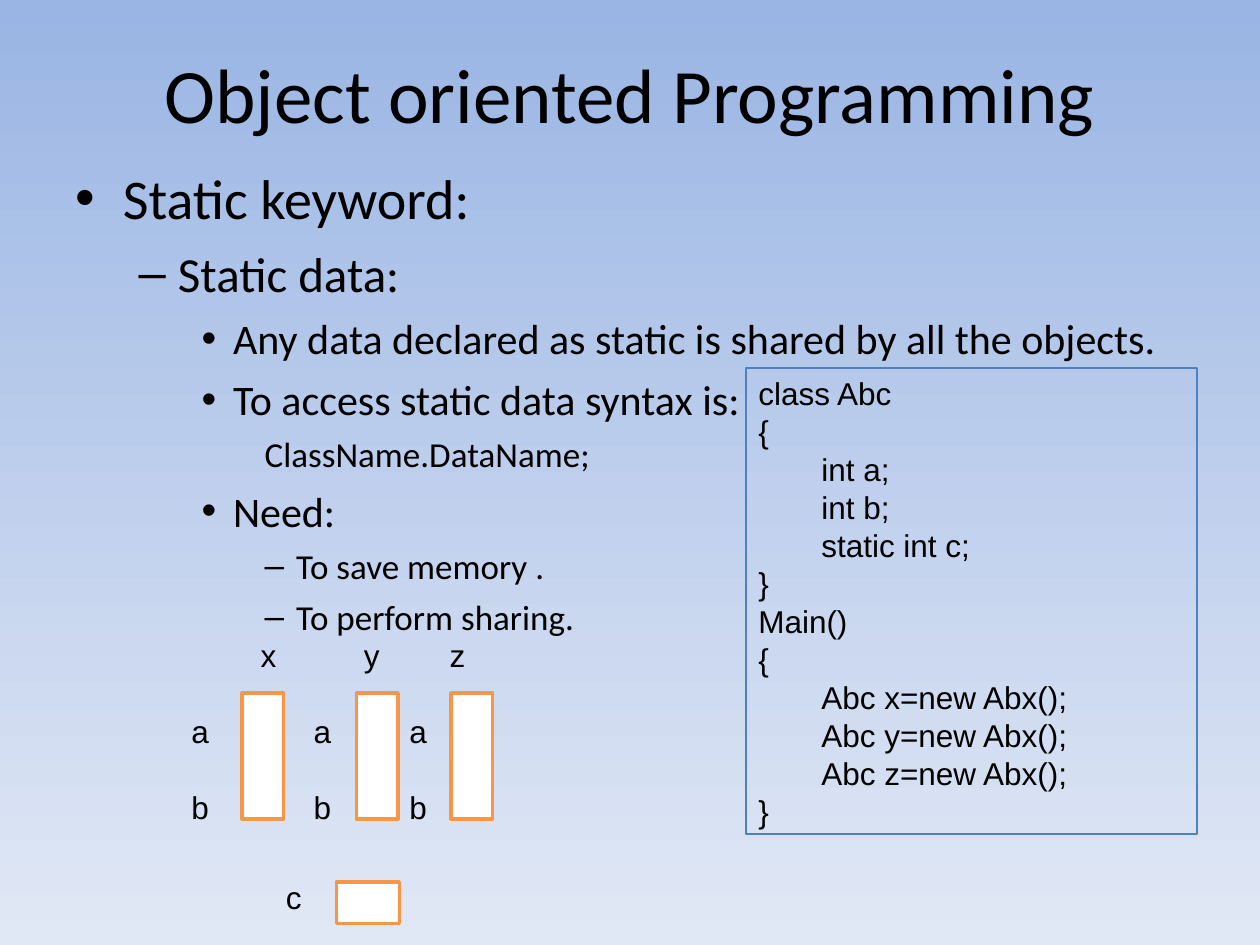
from dataclasses import dataclass

import lxml.etree
import pptx
import pptx.dml.color
import pptx.enum.shapes
import pptx.enum.text
import pptx.oxml.ns
import pptx.util

Inches = pptx.util.Inches
Pt = pptx.util.Pt


@dataclass(frozen=True)
class Theme:
    background_top: str = "9AB5E4"
    background_bottom: str = "E1E8F5"
    text: str = "000000"
    code_border: str = "4F81BD"
    memory_fill: str = "FFFFFF"
    memory_border: str = "F79646"
    heading_font: str = "Calibri"
    code_font: str = "Arial"
    title_size: int = 44
    level_sizes: tuple = (32, 28, 24, 20)
    level_gaps: tuple = (8, 7, 6, 5)
    code_size: int = 18
    code_line: float = 21.7


def rgb(value):
    return pptx.dml.color.RGBColor.from_string(value)


class SlideBuilder:
    def __init__(self, slide, theme):
        self.slide = slide
        self.theme = theme

    def background(self):
        fill = self.slide.background.fill
        fill.gradient()
        fill.gradient_angle = 270
        colors = (self.theme.background_top, self.theme.background_bottom)
        for position, (stop, color) in enumerate(zip(fill.gradient_stops, colors)):
            stop.position = position
            stop.color.rgb = rgb(color)

    def place(self, shape, left, top, width, height):
        shape.left, shape.top = Inches(left), Inches(top)
        shape.width, shape.height = Inches(width), Inches(height)
        shape.text_frame.auto_size = pptx.enum.text.MSO_AUTO_SIZE.NONE

    def add_run(self, paragraph, text, font, size):
        run = paragraph.add_run()
        run.text = text
        run.font.name = font
        run.font.size = Pt(size)
        run.font.color.rgb = rgb(self.theme.text)

    def title(self, text, *box):
        shape = self.slide.shapes.title
        self.place(shape, *box)
        shape.text_frame.vertical_anchor = pptx.enum.text.MSO_ANCHOR.MIDDLE
        paragraph = shape.text_frame.paragraphs[0]
        paragraph.alignment = pptx.enum.text.PP_ALIGN.CENTER
        self.add_run(paragraph, text, self.theme.heading_font, self.theme.title_size)

    def outline(self, items, *box):
        """Fill the body with (level, text, has_bullet) items."""
        shape = self.slide.placeholders[1]
        self.place(shape, *box)
        frame = shape.text_frame
        for index, (level, text, has_bullet) in enumerate(items):
            paragraph = frame.add_paragraph() if index else frame.paragraphs[0]
            paragraph.level = level
            paragraph.space_before = Pt(self.theme.level_gaps[level] if index else 0)
            if not has_bullet:
                properties = paragraph._p.get_or_add_pPr()
                lxml.etree.SubElement(properties, pptx.oxml.ns.qn("a:buNone"))
            self.add_run(paragraph, text, self.theme.heading_font,
                         self.theme.level_sizes[level])

    def rectangle(self, box, line_color, line_width, fill_color=None):
        shape = self.slide.shapes.add_shape(
            pptx.enum.shapes.MSO_SHAPE.RECTANGLE, *map(Inches, box))
        shape.shadow.inherit = False
        if fill_color:
            shape.fill.solid()
            shape.fill.fore_color.rgb = rgb(fill_color)
        else:
            shape.fill.background()
        shape.line.color.rgb = rgb(line_color)
        shape.line.width = Pt(line_width)
        return shape

    def memory_cell(self, *box):
        self.rectangle(box, self.theme.memory_border, 2, self.theme.memory_fill)

    def code(self, lines, *box):
        shape = self.rectangle(box, self.theme.code_border, 0.75)
        self.write_lines(shape.text_frame, lines)

    def labels(self, lines, *box, gap=0, tab_rows=()):
        """Write label rows; tab_rows gives each row's tab stops in inches."""
        frame = self.slide.shapes.add_textbox(*map(Inches, box)).text_frame
        self.write_lines(frame, lines, gap)
        for paragraph, stops in zip(frame.paragraphs, tab_rows):
            properties = paragraph._p.get_or_add_pPr()
            tab_list = lxml.etree.SubElement(properties, pptx.oxml.ns.qn("a:tabLst"))
            for stop in stops:
                lxml.etree.SubElement(tab_list, pptx.oxml.ns.qn("a:tab"),
                                      pos=str(Inches(stop)), algn="l")

    def write_lines(self, frame, lines, gap=0):
        frame.word_wrap = True
        frame.vertical_anchor = pptx.enum.text.MSO_ANCHOR.TOP
        for index, line in enumerate(lines):
            paragraph = frame.add_paragraph() if index else frame.paragraphs[0]
            paragraph.alignment = pptx.enum.text.PP_ALIGN.LEFT
            paragraph.line_spacing = Pt(self.theme.code_line)
            paragraph.space_before = Pt(gap if index else 0)
            self.add_run(paragraph, line, self.theme.code_font, self.theme.code_size)


OUTLINE = [
    (0, "Static keyword:", True),
    (1, "Static data:", True),
    (2, "Any data declared as static is shared by all the objects.", True),
    (2, "To access static data syntax is:", True),
    (3, "ClassName.DataName;", False),
    (2, "Need:", True),
    (3, "To save memory .", True),
    (3, "To perform sharing.", True),
]

CODE = [
    "class Abc",
    "{",
    "\tint a;",
    "\tint b;",
    "\tstatic int c;",
    "}",
    "Main()",
    "{",
    "\tAbc x=new Abx();",
    "\tAbc y=new Abx();",
    "\tAbc z=new Abx();",
    "}",
]


def main():
    presentation = pptx.Presentation()
    presentation.slide_width = Inches(10)
    presentation.slide_height = Inches(7.5)
    slide = presentation.slides.add_slide(presentation.slide_layouts[1])
    theme = Theme()
    builder = SlideBuilder(slide, theme)

    builder.background()
    builder.title("Object oriented Programming", 0.5, 0.3, 9, 0.87)
    builder.outline(OUTLINE, 0.5, 1.25, 9, 5.83)
    builder.code(CODE, 5.92, 2.92, 3.58, 3.7)

    object_stops, member_stops = (0.55, 1.37, 2.05), (0.97, 1.73)
    builder.labels(["\tx\ty\tz", "a\ta\ta", "b\tb\tb"], 1.42, 5, 3.33, 1.9,
                   gap=theme.code_line,
                   tab_rows=(object_stops, member_stops, member_stops))
    for left in (1.92, 2.83, 3.58):
        builder.memory_cell(left, 5.5, 0.33, 1)
    builder.memory_cell(2.67, 7, 0.5, 0.33)
    builder.labels(["c"], 2.17, 6.92, 0.58, 0.4)

    presentation.save("out.pptx")


if __name__ == "__main__":
    main()
